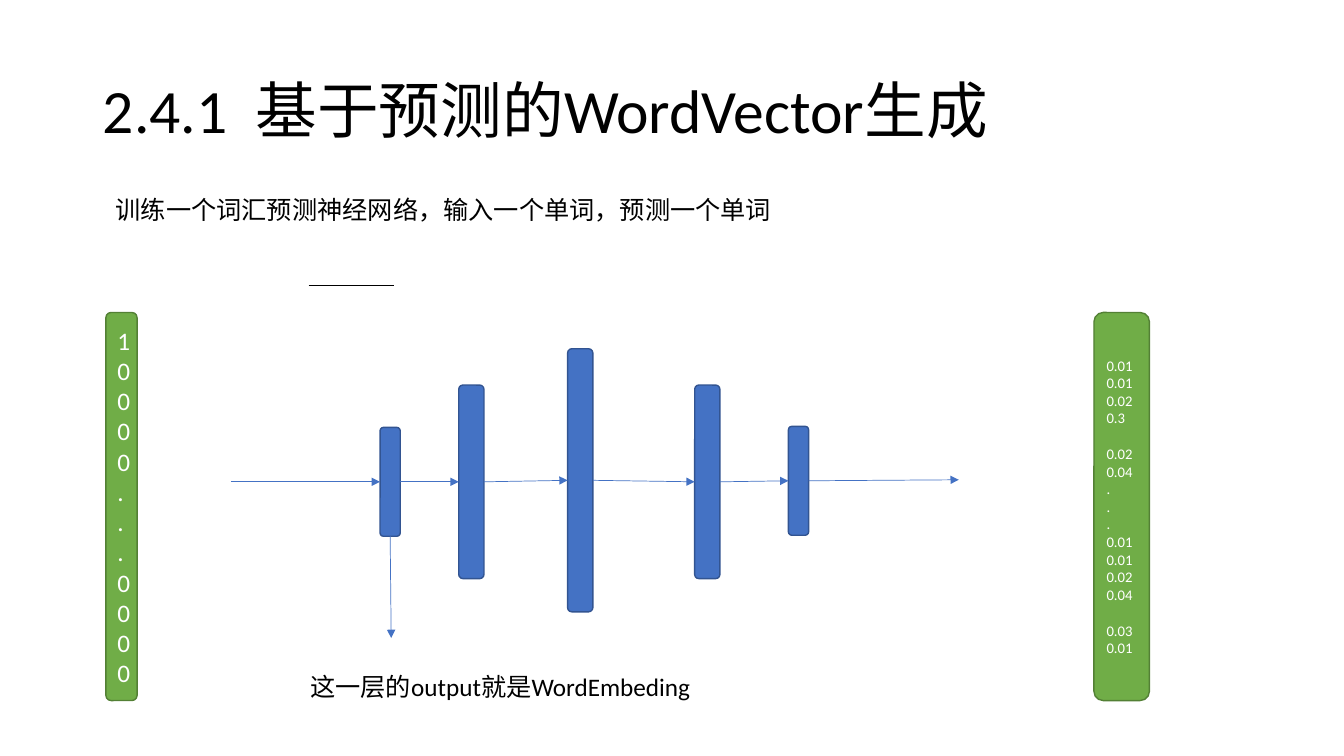
from lxml import etree
from pptx import Presentation
from pptx.dml.color import RGBColor
from pptx.enum.shapes import MSO_CONNECTOR, MSO_SHAPE
from pptx.enum.text import MSO_ANCHOR, MSO_AUTO_SIZE, PP_ALIGN
from pptx.oxml.ns import qn
from pptx.util import Inches, Pt

STRAIGHT = MSO_CONNECTOR.STRAIGHT
ROUNDED = MSO_SHAPE.ROUNDED_RECTANGLE
MIDDLE, TOP = MSO_ANCHOR.MIDDLE, MSO_ANCHOR.TOP
LEFT = PP_ALIGN.LEFT
NO_AUTOFIT = MSO_AUTO_SIZE.NONE
BLUE, BLUE_EDGE = "4472C4", "325491"
GREEN, GREEN_EDGE = "70AD47", "538035"
TOP_SIDE, LEFT_SIDE, BOTTOM_SIDE, RIGHT_SIDE = range(4)


def rgb(value):
    return RGBColor.from_string(value)


def set_text(sp, lines, size=18, color="000000", anchor=TOP, line_spacing=None, gaps=(), spread=None):
    tf = sp.text_frame
    tf.word_wrap = True
    tf.auto_size = NO_AUTOFIT
    tf.vertical_anchor = anchor
    for i, line in enumerate(lines):
        p = tf.paragraphs[0] if i == 0 else tf.add_paragraph()
        p.alignment = LEFT
        p.line_spacing = line_spacing
        if i in gaps:
            p.space_before = Pt(size * 1.22)
        for part in [line] if isinstance(line, str) else line:
            r = p.add_run()
            r.text = part
            r.font.name = "Calibri"
            r.font.size = Pt(size)
            r.font.color.rgb = rgb(color)
            if part == " " and spread:
                r.font._element.set("spc", str(spread))


prs = Presentation()
prs.slide_width, prs.slide_height = Inches(13.33), Inches(7.5)
s = prs.slides.add_slide(prs.slide_layouts[5])

title = s.shapes.title
title.left, title.top = Inches(0.92), Inches(0.4)
title.width, title.height = Inches(11.5), Inches(1.45)
set_text(title, [("2.4.1", " ", "基于预测的WordVector生成")], size=44, anchor=MIDDLE,
         line_spacing=0.9, spread=1000)

for x, y, w, text in [
    (1.05, 1.88, 10.57, "训练一个词汇预测神经网络，输入一个单词，预测一个单词"),
    (2.98, 6.61, 4.01, "这一层的output就是WordEmbeding"),
]:
    set_text(s.shapes.add_textbox(Inches(x), Inches(y), Inches(w), Inches(0.4)), [text])

boxes = []
for x, y, w, h, fill, edge in [
    (3.77, 4.24, 0.2, 1.08, BLUE, BLUE_EDGE),
    (4.55, 3.82, 0.25, 1.92, BLUE, BLUE_EDGE),
    (5.63, 3.46, 0.25, 2.61, BLUE, BLUE_EDGE),
    (6.89, 3.82, 0.25, 1.92, BLUE, BLUE_EDGE),
    (7.82, 4.23, 0.2, 1.08, BLUE, BLUE_EDGE),
    (1.05, 3.1, 0.31, 3.85, GREEN, GREEN_EDGE),
    (10.85, 3.1, 0.55, 3.85, GREEN, GREEN_EDGE),
]:
    sp = s.shapes.add_shape(ROUNDED, Inches(x), Inches(y), Inches(w), Inches(h))
    sp.shadow.inherit = False
    sp.fill.solid()
    sp.fill.fore_color.rgb = rgb(fill)
    sp.line.color.rgb = rgb(edge)
    sp.line.width = Pt(1)
    boxes.append(sp)
*layers, one_hot, probabilities = boxes

set_text(one_hot, list("10000...0000"), color="FFFFFF", anchor=MIDDLE)
scores = ["0.01", "0.01", "0.02", "0.3", "0.02", "0.04", ".", ".", ".",
          "0.01", "0.01", "0.02", "0.04", "0.03", "0.01"]
set_text(probabilities, scores, size=10.5, color="FFFFFF", anchor=MIDDLE, gaps=(4, 13))

first, last = layers[0], layers[-1]
links = [
    ((2.29, 4.78, 3.77, 4.78), None, (first, LEFT_SIDE), BLUE),
    ((8.02, 4.76, 9.51, 4.76), (last, RIGHT_SIDE), None, BLUE),
    ((3.88, 5.32, 3.88, 6.33), (first, BOTTOM_SIDE), None, BLUE),
    ((3.06, 2.83, 3.91, 2.83), None, None, "000000"),
]
for a, b in zip(layers, layers[1:]):
    links.append(((0, 0, 1, 1), (a, RIGHT_SIDE), (b, LEFT_SIDE), BLUE))

for ends, begin, end, color in links:
    line = s.shapes.add_connector(STRAIGHT, *[Inches(v) for v in ends])
    if begin:
        line.begin_connect(*begin)
    if end:
        line.end_connect(*end)
    line.line.color.rgb = rgb(color)
    line.line.width = Pt(0.5)
    if color == BLUE:
        etree.SubElement(line.line._get_or_add_ln(), qn("a:tailEnd"), type="triangle")
    etree.SubElement(line._element.spPr, qn("a:effectLst"))

prs.save("out.pptx")
